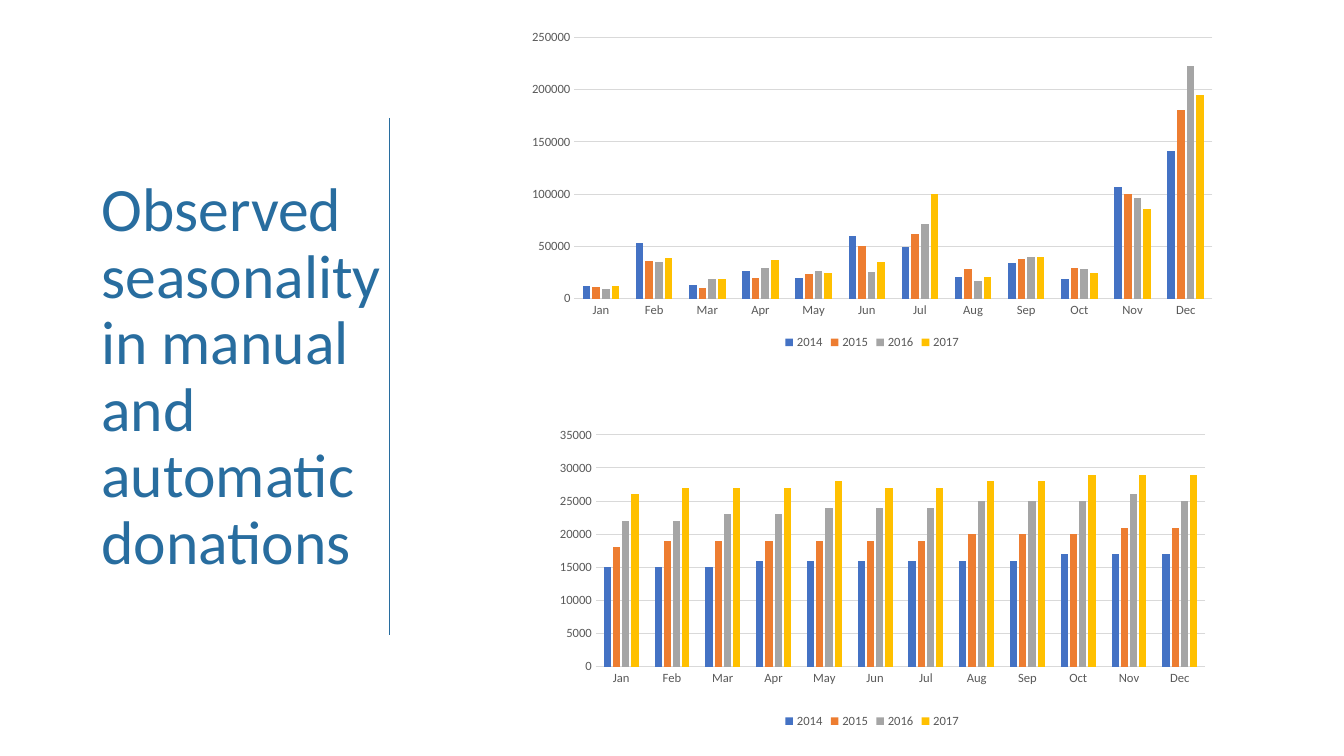
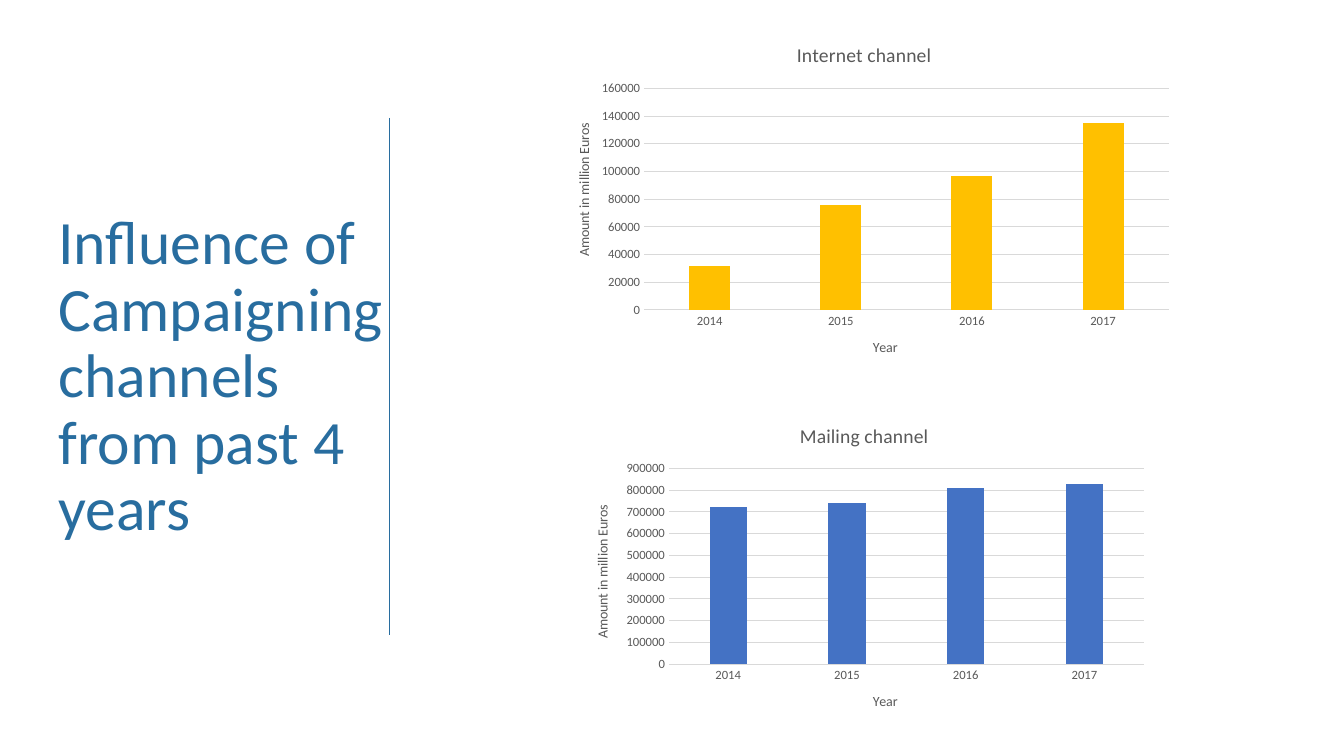
from lxml.etree import SubElement
from pptx import Presentation
from pptx.chart.data import CategoryChartData
from pptx.dml.color import RGBColor
from pptx.enum.chart import XL_CHART_TYPE, XL_LEGEND_POSITION, XL_TICK_MARK
from pptx.enum.shapes import MSO_CONNECTOR
from pptx.enum.text import MSO_ANCHOR, MSO_AUTO_SIZE, PP_ALIGN
from pptx.oxml.ns import qn
from pptx.util import Inches, Pt

WIDTH, HEIGHT = Inches(13.33), Inches(7.5)
FONT = "Calibri"
COLOURS = {
    "title": "286D9F",
    "label": "595959",
    "grid": "D9D9D9",
    "blue": "4472C4",
    "orange": "ED7D31",
    "grey": "A5A5A5",
    "gold": "FFC000",
}
TITLE_TOP, TITLE_RIGHT, TITLE_HEIGHT = 27.4, 30.1, 45.2
DIVIDER_X, DIVIDER_TOP, DIVIDER_BOTTOM = 28.95, 15.6, 84

MONTHS = ["Jan", "Feb", "Mar", "Apr", "May", "Jun",
          "Jul", "Aug", "Sep", "Oct", "Nov", "Dec"]
YEARS = ["2014", "2015", "2016", "2017"]
YEAR_COLOURS = ["blue", "orange", "grey", "gold"]
MANUAL = [
    [12000, 53000, 13000, 26000, 20000, 60000, 49000, 21000, 34000, 19000, 107000, 141000],
    [11000, 36000, 10000, 20000, 23000, 50000, 62000, 28000, 38000, 29000, 100000, 180000],
    [9000, 35000, 19000, 29000, 26000, 25000, 71000, 17000, 40000, 28000, 96000, 223000],
    [12000, 39000, 19000, 37000, 24000, 35000, 100000, 21000, 40000, 24000, 86000, 195000],
]
AUTOMATIC = [
    [15000, 15000, 15000, 16000, 16000, 16000, 16000, 16000, 16000, 17000, 17000, 17000],
    [18000, 19000, 19000, 19000, 19000, 19000, 19000, 20000, 20000, 20000, 21000, 21000],
    [22000, 22000, 23000, 23000, 24000, 24000, 24000, 25000, 25000, 25000, 26000, 25000],
    [26000, 27000, 27000, 27000, 28000, 27000, 27000, 28000, 28000, 29000, 29000, 29000],
]
INTERNET = [32000, 76000, 97000, 135000]
MAILING = [720000, 740000, 810000, 830000]


def across(percent):
    """Turn a percentage of the slide's width into a length."""
    return round(WIDTH * percent / 100)


def down(percent):
    """Turn a percentage of the slide's height into a length."""
    return round(HEIGHT * percent / 100)


def style_font(font, size, colour):
    """Apply the shared typeface with a size and a colour."""
    font.name, font.size, font.bold = FONT, Pt(size), False
    font.color.rgb = RGBColor.from_string(COLOURS[colour])


def style_line(line, colour, width):
    """Give a line its colour and its width in points."""
    line.color.rgb = RGBColor.from_string(COLOURS[colour])
    line.width = Pt(width)


def add_titled_slide(deck, heading, left):
    """Add a slide with its heading on the left and the divider beside it."""
    slide = deck.slides.add_slide(deck.slide_layouts[5])
    title = slide.shapes.title
    title.left, title.top = across(left), down(TITLE_TOP)
    title.width, title.height = across(TITLE_RIGHT - left), down(TITLE_HEIGHT)
    frame = title.text_frame
    frame.text = heading
    frame.word_wrap = True
    frame.auto_size = MSO_AUTO_SIZE.NONE
    frame.vertical_anchor = MSO_ANCHOR.MIDDLE
    paragraph = frame.paragraphs[0]
    paragraph.alignment = PP_ALIGN.LEFT
    paragraph.line_spacing = 0.9
    style_font(paragraph.runs[0].font, 44, "title")

    divider = slide.shapes.add_connector(
        MSO_CONNECTOR.STRAIGHT, across(DIVIDER_X), down(DIVIDER_TOP),
        across(DIVIDER_X), down(DIVIDER_BOTTOM))
    style_line(divider.line, "title", 0.5)
    SubElement(divider.element.spPr, qn("a:effectLst"))
    return slide


def set_caption(caption, text, size):
    """Write the title of a chart or of an axis."""
    frame = caption.text_frame
    frame.text = text
    style_font(frame.paragraphs[0].runs[0].font, size, "label")


def style_axes(chart, top_value, step):
    """Format both axes, the gridlines and the value scale."""
    periods, amounts = chart.category_axis, chart.value_axis
    for axis in (periods, amounts):
        axis.major_tick_mark = axis.minor_tick_mark = XL_TICK_MARK.NONE
        style_font(axis.tick_labels.font, 9, "label")
    style_line(periods.format.line, "grid", 0.75)
    amounts.format.line.fill.background()
    style_line(amounts.major_gridlines.format.line, "grid", 0.75)
    amounts.minimum_scale, amounts.maximum_scale = 0, top_value
    amounts.major_unit = step


def add_columns(slide, area, categories, series, colours, top_value, step):
    """Add a clustered column chart in an area given in percent."""
    figures = CategoryChartData()
    figures.categories = categories
    for name, values in series:
        figures.add_series(name, values)
    left, top, width, height = area
    chart = slide.shapes.add_chart(
        XL_CHART_TYPE.COLUMN_CLUSTERED, across(left), down(top),
        across(width), down(height), figures).chart
    style_font(chart.font, 10, "label")
    chart.has_title = chart.has_legend = False
    plot = chart.plots[0]
    plot.gap_width, plot.overlap, plot.vary_by_categories = 219, -27, False
    for columns, colour in zip(plot.series, colours):
        columns.format.fill.solid()
        columns.format.fill.fore_color.rgb = RGBColor.from_string(COLOURS[colour])
        columns.invert_if_negative = False
    style_axes(chart, top_value, step)
    return chart


def add_monthly_chart(slide, area, values, top_value, step):
    """Add a chart of twelve months with one series a year and a legend."""
    chart = add_columns(slide, area, MONTHS, zip(YEARS, values),
                        YEAR_COLOURS, top_value, step)
    chart.has_legend = True
    chart.legend.position = XL_LEGEND_POSITION.BOTTOM
    chart.legend.include_in_layout = False
    style_font(chart.legend.font, 9, "label")
    return chart


def add_channel_chart(slide, area, heading, values, colour, top_value, step):
    """Add a chart of one channel by year with captions."""
    chart = add_columns(slide, area, YEARS, [("Series 1", values)],
                        [colour], top_value, step)
    set_caption(chart.chart_title, heading, 14)
    set_caption(chart.category_axis.axis_title, "Year", 10)
    set_caption(chart.value_axis.axis_title, "Amount in million Euros", 10)
    return chart


def fix_layout(part, position, **settings):
    """Place a chart part by shares of the chart's size."""
    for previous in part.findall(qn("c:layout")):
        part.remove(previous)
    layout = SubElement(part, qn("c:layout"))
    part.insert(position, layout)
    manual = SubElement(layout, qn("c:manualLayout"))
    for tag, value in settings.items():
        SubElement(manual, qn(f"c:{tag}")).set("val", str(value))


def main():
    """Build both slides and save the deck."""
    deck = Presentation()
    deck.slide_width, deck.slide_height = WIDTH, HEIGHT

    seasons = add_titled_slide(
        deck, "Observed seasonality in manual and automatic donations", 6.8)
    add_monthly_chart(seasons, (38.53, 3.1, 52.73, 43.7), MANUAL, 250000, 50000)
    automatic = add_monthly_chart(
        seasons, (38.53, 55.45, 52.73, 41.45), AUTOMATIC, 35000, 5000)
    fix_layout(automatic.element.find(".//" + qn("c:plotArea")), 0,
               layoutTarget="inner", xMode="edge", yMode="edge",
               x=0.11, y=0.05, w=0.86, h=0.74)

    channels = add_titled_slide(
        deck, "Influence of Campaigning channels from past 4 years", 3.6)
    internet = add_channel_chart(
        channels, (40.7, 3.4, 47.2, 46.4), "Internet channel",
        INTERNET, "gold", 160000, 20000)
    fix_layout(internet.element.find(".//" + qn("c:valAx") + "/" + qn("c:title")), 1,
               xMode="edge", yMode="edge", x=0.04, y=0.27)
    add_channel_chart(channels, (42.62, 53.8, 43.35, 42.8), "Mailing channel",
                      MAILING, "blue", 900000, 100000)

    deck.save("out.pptx")


if __name__ == "__main__":
    main()
